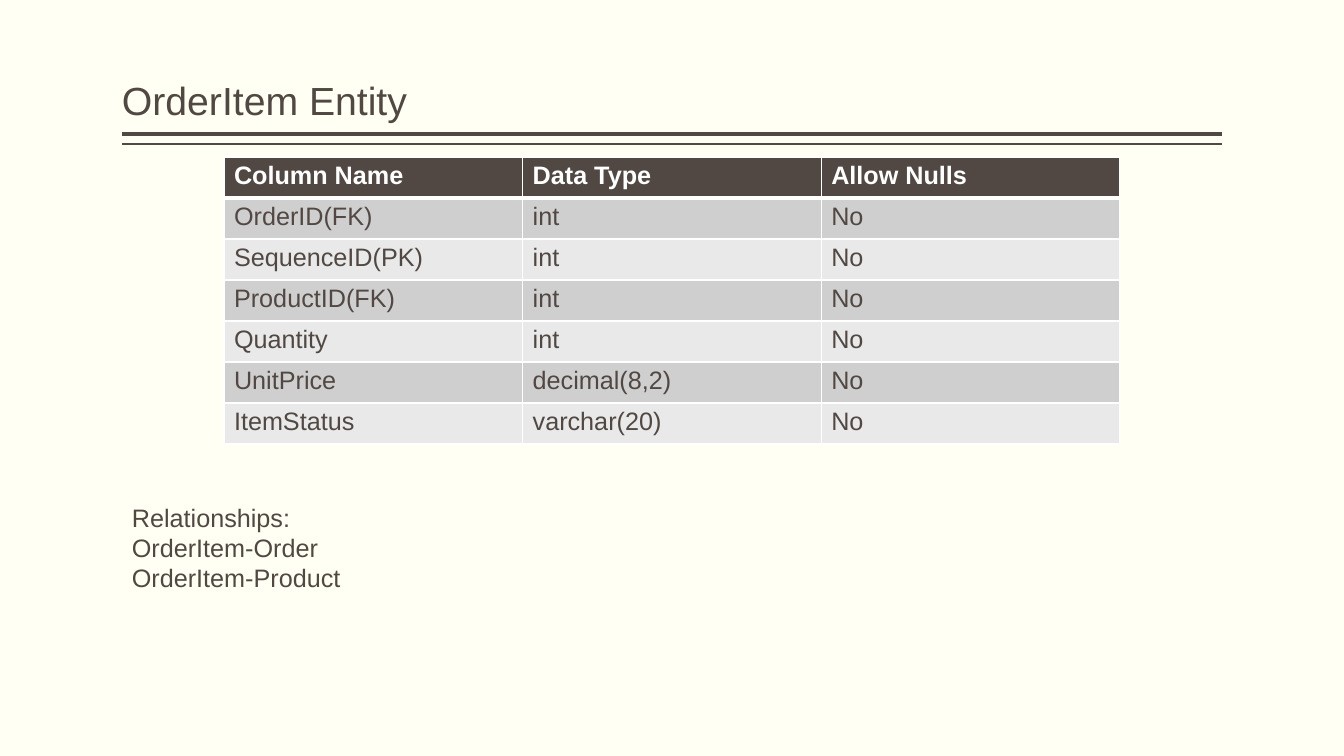
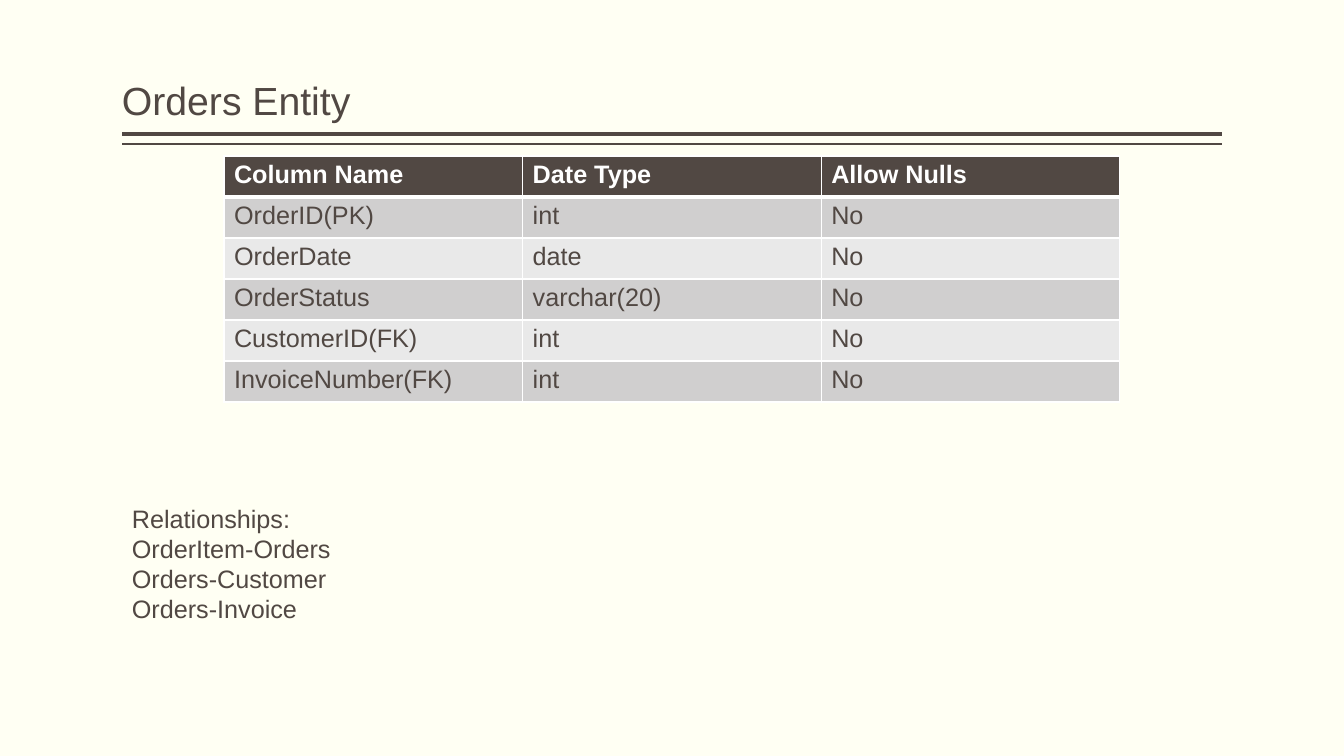
from dataclasses import dataclass

from lxml.etree import SubElement
from pptx import Presentation
from pptx.dml.color import RGBColor
from pptx.enum.shapes import MSO_CONNECTOR
from pptx.enum.text import MSO_ANCHOR, MSO_AUTO_SIZE, PP_ALIGN
from pptx.oxml.ns import qn
from pptx.slide import Slide
from pptx.table import _Cell as Cell
from pptx.text.text import _Paragraph as Paragraph
from pptx.util import Emu, Pt

SLIDE_WIDTH, SLIDE_HEIGHT = 1344, 756
EMU_PER_PIXEL = 12192000 / SLIDE_WIDTH


@dataclass(frozen=True)
class Theme:
    """Colours, font and type sizes of the deck."""
    background: str = "FFFFF3"
    ink: str = "514843"
    white: str = "FFFFFF"
    odd_row: str = "D0CFCF"
    even_row: str = "E9E9E9"
    font: str = "Arial"
    title_size: int = 28
    text_size: int = 18
    thin_line: int = 1
    thick_line: int = 3


@dataclass(frozen=True)
class Box:
    """A rectangle in pixels."""
    left: int
    top: int
    width: int
    height: int


@dataclass(frozen=True)
class Rule:
    """A horizontal line under the title."""
    top: int
    weight: int


@dataclass(frozen=True)
class Entity:
    """The content of one entity page."""
    title: str
    header: tuple[str, ...]
    columns: tuple[tuple[str, str], ...]
    relationships: tuple[str, ...]
    table_top: int
    list_top: int


THEME = Theme()
TITLE_BOX = Box(122, 8, 1100, 121)
RULES = (Rule(134, THEME.thick_line), Rule(144, THEME.thin_line))
TABLE_LEFT, TABLE_WIDTH, ROW_HEIGHT = 224, 896, 41
LIST_WIDTH, LIST_LINE, LIST_PADDING = 1023, 30, 10

ENTITIES = (
    Entity(
        title="OrderItem Entity",
        header=("Column Name", "Data Type", "Allow Nulls"),
        columns=(
            ("OrderID(FK)", "int"),
            ("SequenceID(PK)", "int"),
            ("ProductID(FK)", "int"),
            ("Quantity", "int"),
            ("UnitPrice", "decimal(8,2)"),
            ("ItemStatus", "varchar(20)"),
        ),
        relationships=("OrderItem-Order", "OrderItem-Product"),
        table_top=157,
        list_top=497,
    ),
    Entity(
        title="Orders Entity",
        header=("Column Name", "Date Type", "Allow Nulls"),
        columns=(
            ("OrderID(PK)", "int"),
            ("OrderDate", "date"),
            ("OrderStatus", "varchar(20)"),
            ("CustomerID(FK)", "int"),
            ("InvoiceNumber(FK)", "int"),
        ),
        relationships=("OrderItem-Orders", "Orders-Customer", "Orders-Invoice"),
        table_top=156,
        list_top=498,
    ),
)


def pixels(length: float) -> Emu:
    """Turn pixels into EMU."""
    return Emu(round(length * EMU_PER_PIXEL))


def place(box: Box) -> tuple[Emu, Emu, Emu, Emu]:
    """Give the left, top, width and height of a box in EMU."""
    return pixels(box.left), pixels(box.top), pixels(box.width), pixels(box.height)


def color(value: str) -> RGBColor:
    """Turn a hex value into a colour."""
    return RGBColor.from_string(value)


def write(para: Paragraph, text: str, size: int = THEME.text_size,
          ink: str = THEME.ink, bold: bool = False) -> None:
    """Add one formatted run to a paragraph."""
    para.alignment = PP_ALIGN.LEFT
    span = para.add_run()
    span.text = text
    span.font.name = THEME.font
    span.font.size = Pt(size)
    span.font.bold = bold
    span.font.color.rgb = color(ink)


def add_title(page: Slide, text: str) -> None:
    """Move, format and fill the title placeholder."""
    title = page.shapes.title
    title.left, title.top, title.width, title.height = place(TITLE_BOX)
    frame = title.text_frame
    frame.word_wrap = True
    frame.auto_size = MSO_AUTO_SIZE.NONE
    frame.vertical_anchor = MSO_ANCHOR.BOTTOM
    frame.margin_left = frame.margin_right = 0
    para = frame.paragraphs[0]
    para.line_spacing = 0.9
    write(para, text, THEME.title_size)


def add_rule(page: Slide, rule: Rule) -> None:
    """Draw a line as wide as the title."""
    top = pixels(rule.top)
    line = page.shapes.add_connector(
        MSO_CONNECTOR.STRAIGHT, pixels(TITLE_BOX.left + TITLE_BOX.width), top,
        pixels(TITLE_BOX.left), top)
    line.line.color.rgb = color(THEME.ink)
    line.line.width = Pt(rule.weight)
    SubElement(line.element.spPr, qn("a:effectLst"))


def set_borders(cell: Cell, top: int, bottom: int) -> None:
    """Give a cell white borders with the given top and bottom weights."""
    weights = {"a:lnL": THEME.thin_line, "a:lnR": THEME.thin_line,
               "a:lnT": top, "a:lnB": bottom}
    properties = cell._tc.get_or_add_tcPr()
    for tag, weight in weights.items():
        border = SubElement(properties, qn(tag), w=str(Pt(weight)))
        fill = SubElement(border, qn("a:solidFill"))
        SubElement(fill, qn("a:srgbClr"), val=THEME.white)


def add_column_table(page: Slide, entity: Entity) -> None:
    """Draw the table of database columns."""
    rows = [entity.header] + [(*column, "No") for column in entity.columns]
    box = Box(TABLE_LEFT, entity.table_top, TABLE_WIDTH, ROW_HEIGHT * len(rows))
    table = page.shapes.add_table(len(rows), len(entity.header), *place(box)).table
    for column in table.columns:
        column.width = pixels(TABLE_WIDTH / len(entity.header))
    for row_index, row in enumerate(rows):
        table.rows[row_index].height = pixels(ROW_HEIGHT)
        is_header = row_index == 0
        band = THEME.odd_row if row_index % 2 else THEME.even_row
        top = THEME.thick_line if row_index == 1 else THEME.thin_line
        bottom = THEME.thick_line if is_header else THEME.thin_line
        for column_index, text in enumerate(row):
            cell = table.cell(row_index, column_index)
            set_borders(cell, top, bottom)
            cell.fill.solid()
            cell.fill.fore_color.rgb = color(THEME.ink if is_header else band)
            write(cell.text_frame.paragraphs[0], text,
                  ink=THEME.white if is_header else THEME.ink, bold=is_header)


def add_relationships(page: Slide, entity: Entity) -> None:
    """List the relationships of the entity below its table."""
    lines = ("Relationships:", *entity.relationships)
    height = LIST_LINE * len(lines) + LIST_PADDING
    box = Box(TITLE_BOX.left, entity.list_top, LIST_WIDTH, height)
    frame = page.shapes.add_textbox(*place(box)).text_frame
    frame.word_wrap = True
    frame.auto_size = MSO_AUTO_SIZE.SHAPE_TO_FIT_TEXT
    for index, line in enumerate(lines):
        write(frame.add_paragraph() if index else frame.paragraphs[0], line)


def build() -> None:
    """Build and save the deck."""
    deck = Presentation()
    deck.slide_width, deck.slide_height = pixels(SLIDE_WIDTH), pixels(SLIDE_HEIGHT)
    background = deck.slide_master.background.fill
    background.solid()
    background.fore_color.rgb = color(THEME.background)
    title_only = deck.slide_layouts[5]
    for entity in ENTITIES:
        page = deck.slides.add_slide(title_only)
        for rule in RULES:
            add_rule(page, rule)
        add_column_table(page, entity)
        add_title(page, entity.title)
        add_relationships(page, entity)
    deck.save("out.pptx")


build()
